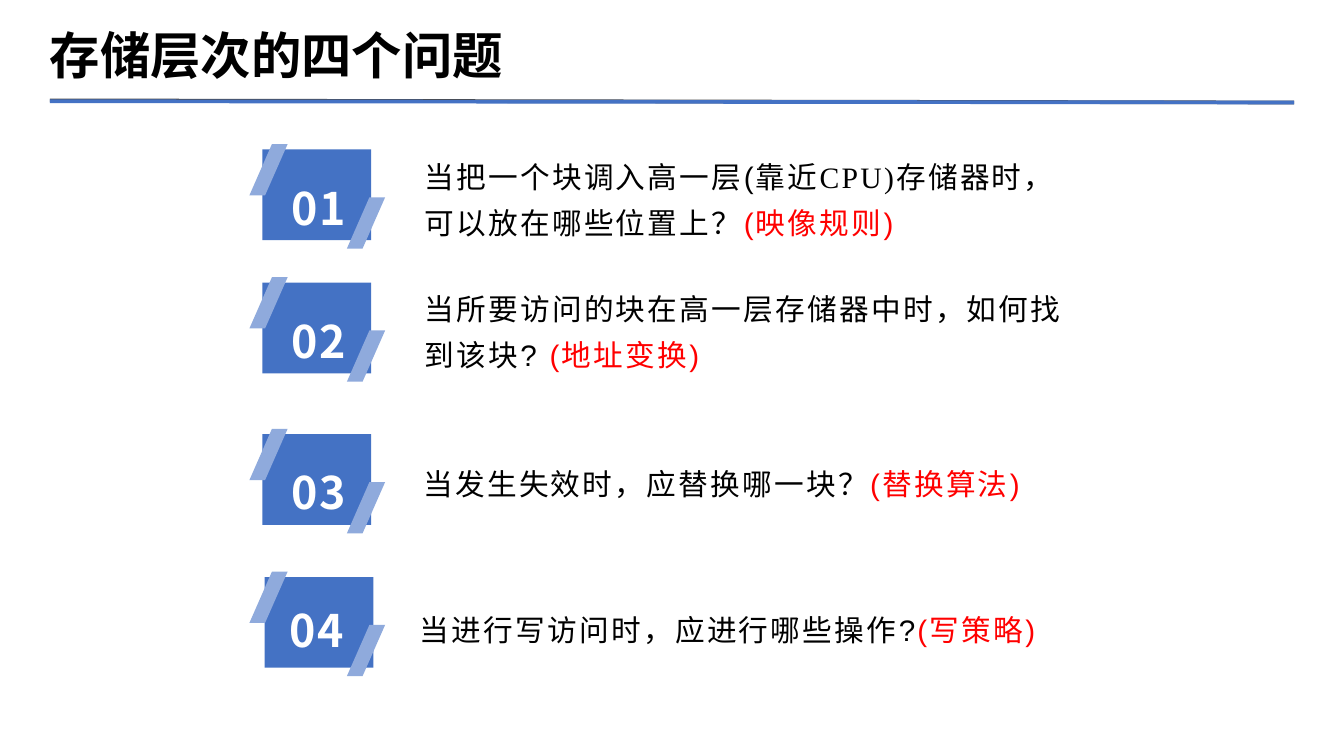
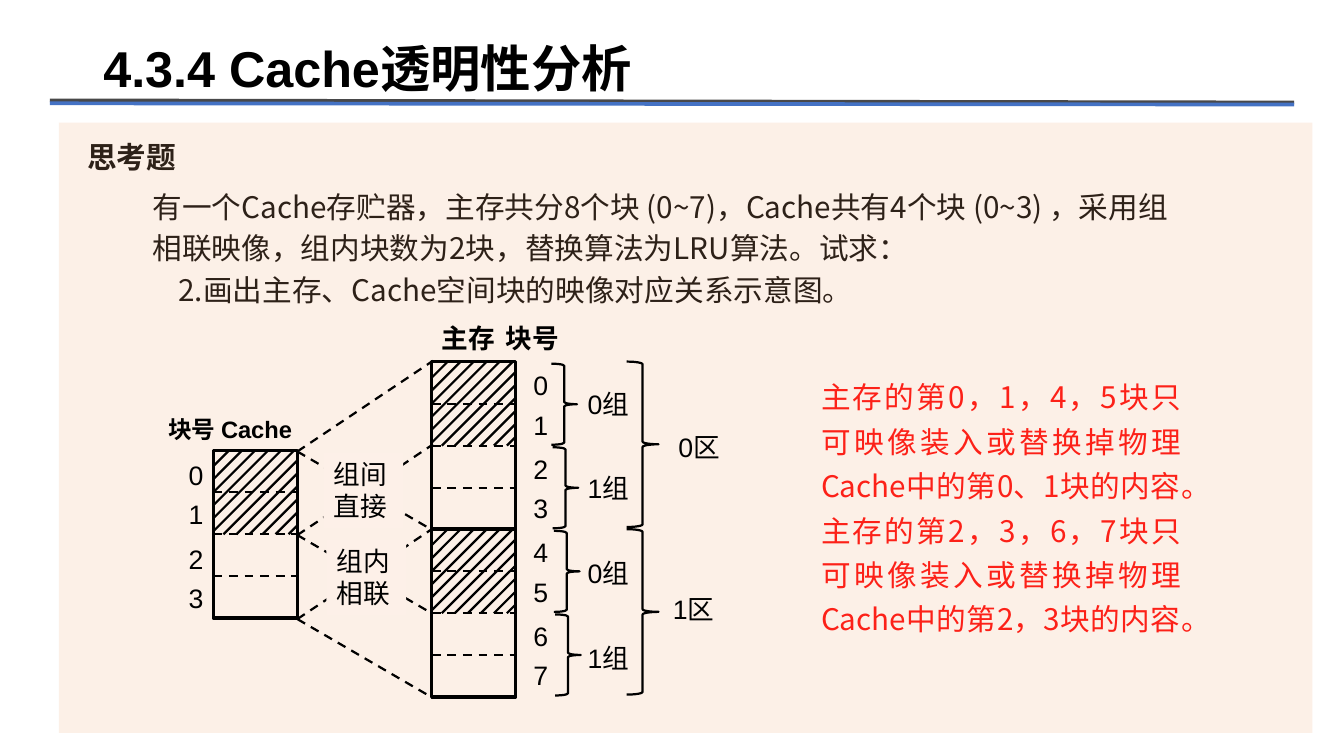
from lxml import etree
from pptx import Presentation
from pptx.dml.color import RGBColor
from pptx.enum.dml import MSO_LINE
from pptx.enum.shapes import MSO_CONNECTOR, MSO_SHAPE
from pptx.enum.text import MSO_ANCHOR, MSO_AUTO_SIZE, PP_ALIGN
from pptx.oxml.ns import qn
from pptx.util import Cm, Pt

RECT = MSO_SHAPE.RECTANGLE
SLANT = MSO_SHAPE.PARALLELOGRAM
BRACE = MSO_SHAPE.RIGHT_BRACE
STRAIGHT = MSO_CONNECTOR.STRAIGHT
DASH = MSO_LINE.DASH
TOP, MIDDLE, BOTTOM = MSO_ANCHOR.TOP, MSO_ANCHOR.MIDDLE, MSO_ANCHOR.BOTTOM
LEFT, CENTER, JUSTIFY = PP_ALIGN.LEFT, PP_ALIGN.CENTER, PP_ALIGN.JUSTIFY

# Shared style
BLACK, WHITE, RED = "000000", "FFFFFF", "FF0000"
BLUE, LIGHT_BLUE, GREY = "4472C4", "8FAADC", "484849"
ORANGE, CREAM = "F4B183", "FDF0E8"
CJK, SERIF = "Noto Sans CJK SC", "Times New Roman"
rgb = RGBColor.from_string


def write(sp, box, *paras, size=18, font="Arial", color=BLACK, bold=False, align=LEFT,
          anchor=TOP, spacing=None, margin=None, tracking=0):
    """Place a shape and fill it; a paragraph is a string or a list of (text, font, color)."""
    sp.left, sp.top, sp.width, sp.height = [Cm(v) for v in box]
    tf = sp.text_frame
    tf.word_wrap, tf.auto_size, tf.vertical_anchor = True, MSO_AUTO_SIZE.NONE, anchor
    if margin is not None:
        tf.margin_left = tf.margin_top = tf.margin_right = tf.margin_bottom = Cm(margin)
    for i, para in enumerate(paras):
        p = tf.add_paragraph() if i else tf.paragraphs[0]
        p.alignment = align
        if spacing:
            p.line_spacing = spacing
        for text, face, tint in [(para, font, color)] if isinstance(para, str) else para:
            r = p.add_run()
            r.text = text
            r.font.size, r.font.bold, r.font.name = Pt(size), bold, face
            r.font.color.rgb = rgb(tint)
            rPr = r.font._element
            etree.SubElement(rPr, qn("a:ea")).set("typeface", CJK)
            if tracking:
                rPr.set("spc", str(int(tracking * 100)))
    return tf


def add_line(s, x1, y1, x2, y2, color=BLACK, width=1.5, dash=None):
    cn = s.shapes.add_connector(STRAIGHT, Cm(x1), Cm(y1), Cm(x2), Cm(y2))
    cn.line.color.rgb, cn.line.width = rgb(color), Pt(width)
    if dash:
        cn.line.dash_style = dash
    etree.SubElement(cn._element.spPr, qn("a:effectLst"))


prs = Presentation()
prs.slide_width, prs.slide_height = Cm(32), Cm(18)

# Titles and the double rule below them
slides = []
for title, font, box, anchor, rule_y in [
    ("存储层次的四个问题", SERIF, (1.19, 0.41, 29.6, 1.6), BOTTOM, 2.41),
    ("4.3.4 Cache透明性分析", "Arial", (2.46, 0.81, 29.5, 1.6), MIDDLE, 2.46),
]:
    s = prs.slides.add_slide(prs.slide_layouts[5])
    add_line(s, 1.19, 2.39, 30.81, 2.44, GREY, 2.5)
    add_line(s, 1.19, rule_y, 30.81, rule_y + 0.03, BLUE, 2.5)
    write(s.shapes.title, box, title, size=34, font=font, bold=True, anchor=anchor, margin=0)
    slides.append(s)

# Slide 1: four numbered questions
s = slides[0]
questions = [
    (6.25, 3.56, 6.53, 3.76, 9.86, 3.4, 15.82,
     [("当把一个块调入高一层(", "Arial", BLACK), ("靠近CPU)", SERIF, BLACK),
      ("存储器时，可以放在哪些位置上？", "Arial", BLACK), ("(映像规则)", "Arial", RED)]),
    (6.25, 6.73, 6.53, 6.91, 9.86, 6.55, 15.82,
     [("当所要访问的块在高一层存储器中时，如何找到该块? ", "Arial", BLACK),
      ("(地址变换)", "Arial", RED)]),
    (6.25, 10.34, 6.53, 10.52, 9.83, 10.72, 15.82,
     [("当发生失效时，应替换哪一块？", "Arial", BLACK), ("(替换算法)", "Arial", RED)]),
    (6.3, 13.74, 6.48, 13.79, 9.75, 14.2, 19.02,
     [("当进行写访问时，应进行哪些操作?", "Arial", BLACK), ("(写策略)", "Arial", RED)]),
]
for n, (x, y, num_x, num_y, text_x, text_y, text_w, runs) in enumerate(questions, 1):
    write(s.shapes.add_textbox(0, 0, 0, 0), (text_x, text_y, text_w, 2.2), runs,
          size=20, spacing=1.3, tracking=1.5)
    for kind, left, top, w, h, color in [
        (RECT, x, y, 2.59, 2.16, BLUE),
        (SLANT, 5.94, y - 0.13, 0.91, 1.22, LIGHT_BLUE),
        (SLANT, 8.26, y + 1.14, 0.91, 1.22, LIGHT_BLUE),
    ]:
        sp = s.shapes.add_shape(kind, Cm(left), Cm(top), Cm(w), Cm(h))
        sp.shadow.inherit = False
        sp.fill.solid()
        sp.fill.fore_color.rgb = rgb(color)
        sp.line.fill.background()
        if kind == SLANT:
            sp.adjustments[0] = 0.59
    write(s.shapes.add_textbox(0, 0, 0, 0), (num_x, num_y, 2.13, 1.75), f"{n:02d}",
          size=30.2, font=CJK, color=WHITE, bold=True, align=CENTER, anchor=MIDDLE,
          spacing=1.5, margin=0, tracking=1.5)

# Slide 2: question and answer text, under the tinted panel
s = slides[1]
write(s.shapes.add_textbox(0, 0, 0, 0), (19.3, 8.69, 9.07, 6.58),
      "主存的第0，1，4，5块只可映像装入或替换掉物理Cache中的第0、1块的内容。"
      "主存的第2，3，6，7块只可映像装入或替换掉物理Cache中的第2，3块的内容。",
      size=20, font=CJK, color=RED, align=JUSTIFY, spacing=Pt(30))
tf = write(s.shapes.add_textbox(0, 0, 0, 0), (3.38, 4.22, 25.22, 3.18),
           "有一个Cache存贮器，主存共分8个块 (0~7)，Cache共有4个块 (0~3) ，"
           "采用组相联映像，组内块数为2块，替换算法为LRU算法。试求：",
           "2.画出主存、Cache空间块的映像对应关系示意图。",
           size=20, font=CJK, spacing=Pt(28))
tf.paragraphs[1]._p.get_or_add_pPr().set("marL", str(Cm(0.62)))
write(s.shapes.add_textbox(0, 0, 0, 0), (1.83, 2.97, 28, 1.65), "思考题",
      size=20, font=CJK, bold=True, anchor=MIDDLE, spacing=0.9)

panel = s.shapes.add_shape(RECT, Cm(1.4), Cm(2.92), Cm(29.85), Cm(14.53))
panel.shadow.inherit = False
panel.fill.solid()
panel.fill.fore_color.rgb = rgb(ORANGE)
tint = panel._element.spPr.find(qn("a:solidFill"))[0]
etree.SubElement(tint, qn("a:alpha")).set("val", "19000")
panel.line.fill.background()

# Cache and the two memory zones, first half of each hatched
SIDE, PITCH = 2, 0.31
for x, y in [(5.08, 10.72), (10.28, 8.61), (10.28, 12.6)]:
    sp = s.shapes.add_shape(RECT, Cm(x), Cm(y), Cm(SIDE), Cm(2 * SIDE))
    sp.shadow.inherit = False
    sp.fill.background()
    sp.line.color.rgb, sp.line.width = rgb(BLACK), Pt(2.25)
    for k in range(1, 4):
        add_line(s, x, y + k * SIDE / 2, x + SIDE, y + k * SIDE / 2, dash=DASH)
    for k in range(12):
        near = min(0.38 + k * PITCH, SIDE)
        far = max(0.38 + k * PITCH - SIDE, 0)
        add_line(s, x + near, y + far, x + far, y + near)

# Mapping lines from cache to memory
for y in (10.75, 12.74, 14.74):
    for dy in (-2.16, 1.88):
        add_line(s, 7.08, y, 10.31, y + dy, dash=DASH)
for x, y, *words in [(7.7, 10.77, "组间", "直接"), (7.77, 12.85, "组内", "相联")]:
    sp = s.shapes.add_shape(RECT, 0, 0, 0, 0)
    sp.shadow.inherit = False
    sp.fill.solid()
    sp.fill.fore_color.rgb = rgb(CREAM)
    sp.line.fill.background()
    write(sp, (x, y, 1.9, 1.8), *words, font=CJK)

# Block numbers, groups and zones
GROUP, ZONE = 1.99, 3.99
labels = [(x, y + GROUP * (i // 2) + 0.94 * (i % 2), 0.91, str(i))
          for x, y, count in [(4.24, 10.8, 4), (12.45, 8.66, 8)] for i in range(count)]
labels += [(13.74, 9.1 + 2.02 * i, 1.8, f"{i % 2}组") for i in range(4)]
labels += [(15.9, 10.13, 1.6, "0区"), (15.77, 14, 1.6, "1区")]
for x, y, w, text in labels:
    write(s.shapes.add_textbox(0, 0, 0, 0), (x, y, w, 1.02), text)

braces = [(13.13 + 0.03 * i, 8.66 + GROUP * i, 0.61, 1.93) for i in range(4)]
braces += [(14.92, 8.61 + ZONE * i, 0.76, 3.94) for i in range(2)]
for box in braces:
    sp = s.shapes.add_shape(BRACE, *[Cm(v) for v in box])
    sp.shadow.inherit = False
    sp.fill.background()
    sp.line.color.rgb, sp.line.width = rgb(BLACK), Pt(1.5)

# Column headings
for x, y, w, size, text in [(3.76, 9.75, 4.11, 16, "块号 Cache"),
                            (10.26, 7.54, 2, 18, "主存"), (11.79, 7.54, 2, 18, "块号")]:
    write(s.shapes.add_textbox(0, 0, 0, 0), (x, y, w, 1.02), text, size=size, bold=True)

prs.save("out.pptx")
